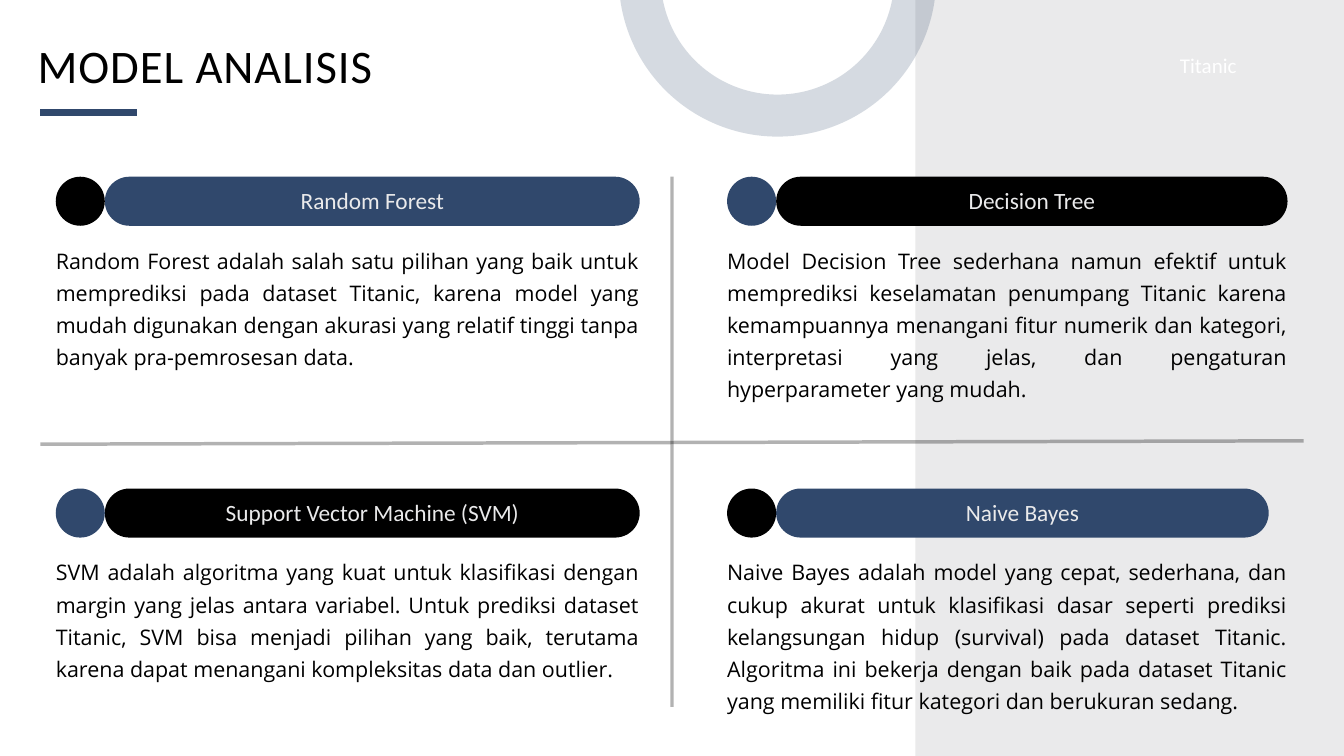
from dataclasses import dataclass
from typing import Any

import pptx
import pptx.dml.color
import pptx.enum.shapes
import pptx.enum.text
import pptx.oxml.ns
import pptx.oxml.xmlchemy
import pptx.util

SCALE = 9144  # EMU per px: 100 px to the inch
NAVY, BLACK, PALE, WHITE = "30486C", "000000", "EAEAEB", "FFFFFF"
BADGE = 73  # diameter of the round badge and height of the pill
SHAPE = pptx.enum.shapes.MSO_SHAPE
ALIGN = pptx.enum.text.PP_ALIGN
ANCHOR = pptx.enum.text.MSO_ANCHOR
FIT = pptx.enum.text.MSO_AUTO_SIZE


@dataclass
class Model:
    name: str
    description: str
    x: int
    y: int
    width: int
    text_height: int
    badge_color: str
    pill_color: str
    pill_trim: int = 0


MODELS = [
    Model("Random Forest",
          "Random Forest adalah salah satu pilihan yang baik untuk memprediksi pada dataset "
          "Titanic, karena model yang mudah digunakan dengan akurasi yang relatif tinggi tanpa "
          "banyak pra-pemrosesan data.",
          83, 263, 869, 189, BLACK, NAVY),
    Model("Support Vector Machine (SVM)",
          "SVM adalah algoritma yang kuat untuk klasifikasi dengan margin yang jelas antara "
          "variabel. Untuk prediksi dataset Titanic, SVM bisa menjadi pilihan yang baik, "
          "terutama karena dapat menangani kompleksitas data dan outlier.",
          83, 727, 869, 189, NAVY, BLACK),
    Model("Decision Tree",
          "Model Decision Tree sederhana namun efektif untuk memprediksi keselamatan penumpang "
          "Titanic karena kemampuannya menangani fitur numerik dan kategori, interpretasi yang "
          "jelas, dan pengaturan hyperparameter yang mudah.",
          1082, 263, 834, 237, NAVY, BLACK),
    Model("Naive Bayes",
          "Naive Bayes adalah model yang cepat, sederhana, dan cukup akurat untuk klasifikasi "
          "dasar seperti prediksi kelangsungan hidup (survival) pada dataset Titanic. Algoritma "
          "ini bekerja dengan baik pada dataset Titanic yang memiliki fitur kategori dan "
          "berukuran sedang.",
          1082, 727, 834, 237, BLACK, NAVY, pill_trim=28),
]


def px(n: int) -> int:
    return pptx.util.Emu(n * SCALE)


def rgb(color: str) -> pptx.dml.color.RGBColor:
    return pptx.dml.color.RGBColor.from_string(color)


def set_line(sp: Any, color: str, width: float, opacity: int = 100) -> None:
    sp.line.color.rgb = rgb(color)
    sp.line.width = pptx.util.Pt(width)
    if opacity < 100:
        ln = sp._element.spPr.find(pptx.oxml.ns.qn("a:ln"))
        clr = ln.find(".//" + pptx.oxml.ns.qn("a:srgbClr"))
        alpha = clr.makeelement(pptx.oxml.ns.qn("a:alpha"), {"val": str(opacity * 1000)})
        clr.append(alpha)


def add_block(slide: Any, kind: Any, x: int, y: int, w: int, h: int, color: str = "") -> Any:
    """Add a preset shape without outline; no colour means no fill."""
    sp = slide.shapes.add_shape(kind, px(x), px(y), px(w), px(h))
    sp.shadow.inherit = False
    sp.line.fill.background()
    if color:
        sp.fill.solid()
        sp.fill.fore_color.rgb = rgb(color)
    else:
        sp.fill.background()
    return sp


def add_rule(slide: Any, x1: int, y1: int, x2: int, y2: int,
             color: str, width: float, opacity: int = 100) -> None:
    rule = slide.shapes.add_connector(pptx.enum.shapes.MSO_CONNECTOR.STRAIGHT,
                                      px(x1), px(y1), px(x2), px(y2))
    set_line(rule, color, width, opacity)
    spPr = rule._element.spPr
    spPr.append(spPr.makeelement(pptx.oxml.ns.qn("a:effectLst"), {}))


def write(sp: Any, text: str, font: str, size: float, color: str, leading: float,
          align: Any = ALIGN.LEFT, anchor: Any = ANCHOR.TOP, fit: Any = FIT.NONE,
          insets: tuple[int, int, int, int] = (0, 0, 0, 0)) -> Any:
    """Fill a shape with one paragraph; insets are left, top, right, bottom."""
    tf = sp.text_frame
    tf.word_wrap = True
    tf.auto_size = fit
    tf.vertical_anchor = anchor
    tf.margin_left, tf.margin_top, tf.margin_right, tf.margin_bottom = map(px, insets)
    p = tf.paragraphs[0]
    p.alignment = align
    p.line_spacing = pptx.util.Pt(leading)
    r = p.add_run()
    r.text = text
    r.font.name = font
    r.font.size = pptx.util.Pt(size)
    r.font.color.rgb = rgb(color)
    return r


def add_text(slide: Any, x: int, y: int, w: int, h: int, *args: Any, **kwargs: Any) -> None:
    write(slide.shapes.add_textbox(px(x), px(y), px(w), px(h)), *args, **kwargs)


def add_model(slide: Any, m: Model) -> None:
    pill_width = m.width - BADGE - m.pill_trim
    pill = add_block(slide, SHAPE.ROUNDED_RECTANGLE, m.x + BADGE, m.y,
                     pill_width, BADGE, m.pill_color)
    pill.adjustments[0] = 0.5
    write(pill, m.name, "Calibri", 25, PALE, 35, ALIGN.CENTER, ANCHOR.MIDDLE,
          insets=(6, 6, 6, 16))
    add_block(slide, SHAPE.OVAL, m.x, m.y, BADGE, BADGE, m.badge_color)
    add_text(slide, m.x, m.y + 96, m.width, m.text_height, m.description, "Open Sans", 23,
             BLACK, 34.5, ALIGN.JUSTIFY, fit=FIT.SHAPE_TO_FIT_TEXT)


def main() -> None:
    prs = pptx.Presentation()
    prs.slide_width, prs.slide_height = px(2000), px(1125)
    slide = prs.slides.add_slide(prs.slide_layouts[5])

    # Side panel
    add_block(slide, SHAPE.RECTANGLE, 1362, 0, 638, 1125, PALE)

    # Title, accent rule and corner label
    title = slide.shapes.title
    title.left, title.top, title.width, title.height = map(px, (56, 41, 1178, 93))
    r = write(title, "MODEL ANALISIS", "Calibri", 50, BLACK, 70)
    r.font._element.set("spc", "100")
    add_rule(slide, 60, 167, 204, 167, NAVY, 7.5)
    add_text(slide, 1700, 70, 196, 48, "Titanic", "Calibri", 22.5, WHITE, 31.5,
             ALIGN.CENTER, ANCHOR.MIDDLE)

    # Cross between the four models
    add_rule(slide, 60, 661, 1940, 656, BLACK, 3.75, 30)
    add_rule(slide, 1000, 263, 1000, 1052, BLACK, 3.75, 30)

    # Models
    for model in MODELS:
        add_model(slide, model)

    # Ring cut off by the top edge
    ring = add_block(slide, SHAPE.OVAL, 952, -238, 410, 410)
    set_line(ring, NAVY, 45, 20)

    prs.save("out.pptx")


if __name__ == "__main__":
    main()
